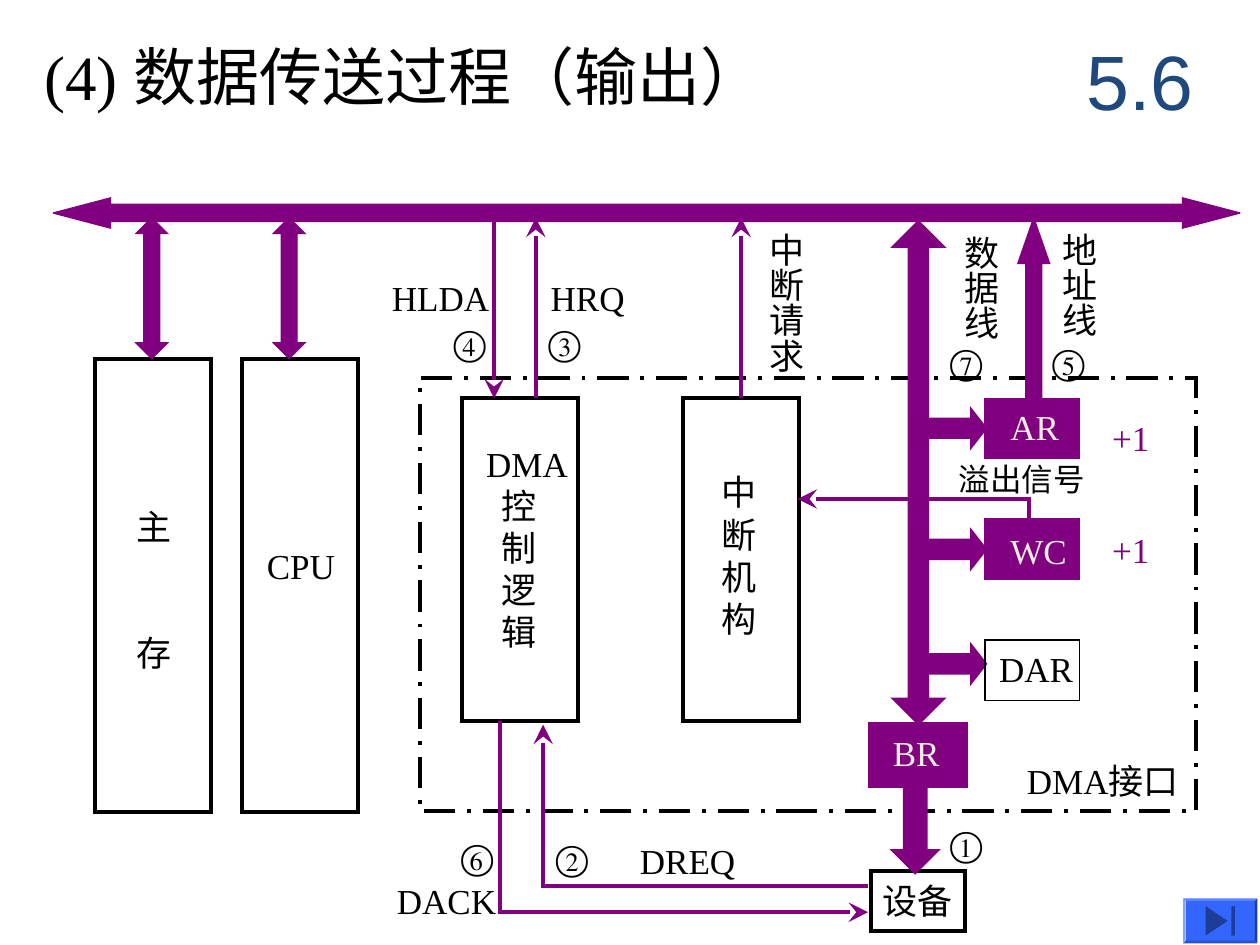
from lxml import etree
from pptx import Presentation
from pptx.dml.color import RGBColor
from pptx.enum.dml import MSO_LINE
from pptx.enum.shapes import MSO_CONNECTOR, MSO_SHAPE
from pptx.enum.text import MSO_ANCHOR, MSO_AUTO_SIZE, PP_ALIGN
from pptx.oxml.ns import qn
from pptx.util import Cm, Pt

BLACK = RGBColor(0x00, 0x00, 0x00)
PURPLE = RGBColor(0x80, 0x00, 0x80)
CREAM = RGBColor(0xEE, 0xEC, 0xE1)
NAVY = RGBColor(0x1F, 0x49, 0x7D)
BLUE = RGBColor(0x33, 0x66, 0xFF)
SERIF, SANS = "Times New Roman", "Arial"

RECTANGLE = MSO_SHAPE.RECTANGLE
RIGHT_ARROW = MSO_SHAPE.RIGHT_ARROW
UP_ARROW = MSO_SHAPE.UP_ARROW
DOWN_ARROW = MSO_SHAPE.DOWN_ARROW
UP_DOWN_ARROW = MSO_SHAPE.UP_DOWN_ARROW
LEFT_RIGHT_ARROW = MSO_SHAPE.LEFT_RIGHT_ARROW
BEVEL = MSO_SHAPE.BEVEL
END_BUTTON = MSO_SHAPE.ACTION_BUTTON_END
STRAIGHT = MSO_CONNECTOR.STRAIGHT
LONG_DASH_DOT = MSO_LINE.LONG_DASH_DOT
NO_FIT = MSO_AUTO_SIZE.NONE
MIDDLE, CENTER = MSO_ANCHOR.MIDDLE, PP_ALIGN.CENTER

LINE_HEIGHT = 1.12
GLYPH_WIDTH = 1.22
REGISTER_LEFT, REGISTER_SIZE = 19.86, (1.91, 1.22)
BUS_EDGE, UNIT_TOP = 4.39, 8.03


def add_label(slide, text, left, top, width, height=LINE_HEIGHT,
              size=20, color=BLACK, font=SERIF):
    box = slide.shapes.add_textbox(Cm(left), Cm(top), Cm(width), Cm(height))
    frame = box.text_frame
    frame.word_wrap = True
    frame.auto_size = NO_FIT
    frame.margin_right = 0
    frame.text = text
    for para in frame.paragraphs:
        for span in para.runs:
            span.font.name = font
            span.font.size = Pt(size)
            span.font.color.rgb = color
    return box


def add_vertical_label(slide, text, left, top, height):
    frame = add_label(slide, text, left, top, 1.35, height).text_frame
    frame.margin_left = frame.margin_right = Cm(0.13)
    frame.margin_top, frame.margin_bottom = Cm(0.1), 0
    frame._txBody.bodyPr.set("vert", "eaVert")


def add_solid(slide, kind, left, top, width, height,
              adjustments=(), color=PURPLE, line_width=0.75):
    """Add a filled shape with a sharp-cornered outline in its own colour."""
    shape = slide.shapes.add_shape(kind, Cm(left), Cm(top), Cm(width), Cm(height))
    shape.shadow.inherit = False
    for index, value in enumerate(adjustments):
        shape.adjustments[index] = value
    shape.fill.solid()
    shape.fill.fore_color.rgb = color
    shape.line.color.rgb = color
    shape.line.width = Pt(line_width)
    stroke = shape.line._get_or_add_ln()
    etree.SubElement(stroke, qn("a:miter"), lim="800000")
    return shape


def add_outline(slide, left, top, width, height, line_width=2.25):
    frame = add_solid(slide, RECTANGLE, left, top, width, height,
                      color=BLACK, line_width=line_width)
    frame.fill.background()
    return frame


def style_signal(signal):
    """Give a line the purple stroke and the arrowhead of a signal."""
    signal.line.color.rgb = PURPLE
    signal.line.width = Pt(2.25)
    stroke = signal.line._get_or_add_ln()
    etree.SubElement(stroke, qn("a:miter"), lim="800000")
    etree.SubElement(stroke, qn("a:tailEnd"), type="stealth", w="lg", len="lg")


def add_signal(slide, x, start, end):
    """Add a vertical signal arrow."""
    signal = slide.shapes.add_connector(STRAIGHT, Cm(x), Cm(start), Cm(x), Cm(end))
    style_signal(signal)
    etree.SubElement(signal._element.spPr, qn("a:effectLst"))
    return signal


def add_bent_signal(slide, *points):
    corners = [(Cm(x), Cm(y)) for x, y in points]
    builder = slide.shapes.build_freeform(*corners[0], scale=1.0)
    builder.add_line_segments(corners[1:], close=False)
    signal = builder.convert_to_shape()
    signal.shadow.inherit = False
    signal.fill.background()
    style_signal(signal)


def add_heading(slide):
    add_label(slide, "(4) 数据传送过程（输出）", 0.64, 0.64, 15.88, 1.78, size=36)
    section = add_label(slide, "5.6", 21.39, 0.43, 3.18, 2.34, 44, NAVY, SANS)
    frame = section.text_frame
    frame.margin_right = frame.margin_left
    frame.vertical_anchor = MIDDLE
    frame.paragraphs[0].alignment = CENTER


def add_units(slide):
    """Add the memory, the processor, the device and the interface parts."""
    for left in (1.91, 4.88):
        add_outline(slide, left, 7.24, 2.34, 9.14)
    memory = add_label(slide, "主\n存", 2.51, 10.06, GLYPH_WIDTH, 3.66)
    memory.text_frame.paragraphs[1].space_before = Pt(48)
    add_label(slide, "CPU", 5.13, 10.85, 1.88)

    interface = add_outline(slide, 8.46, 7.62, 15.65, 8.74)
    interface.line.dash_style = LONG_DASH_DOT
    add_label(slide, "DMA接口", 20.45, 15.19, 3.73)

    add_outline(slide, 9.32, UNIT_TOP, 2.34, 6.5)
    logic = add_label(slide, "DMA\n控\n制\n逻\n辑", 9.55, 8.79, 2.16, 4.5)
    for para in logic.text_frame.paragraphs[1:]:
        para._p.get_or_add_pPr().set("marL", str(Cm(0.32)))

    interrupt_unit = add_outline(slide, 13.77, UNIT_TOP, 2.34, 6.5)
    add_label(slide, "中\n断\n机\n构", 14.3, 9.37, GLYPH_WIDTH, 3.66)
    request = add_signal(slide, 14.94, UNIT_TOP, BUS_EDGE)
    request.begin_connect(interrupt_unit, 0)

    add_outline(slide, 17.55, 17.55, *REGISTER_SIZE)
    add_label(slide, "设备", 17.55, 17.6, 1.91)


def add_block_arrows(slide):
    add_solid(slide, LEFT_RIGHT_ARROW, 1.07, 3.99, 23.93, 0.61, (0.568, 1.9))
    for left in (2.74, 5.51):
        add_solid(slide, UP_DOWN_ARROW, left, BUS_EDGE, 0.64, 2.84, (0.892, 0.5))
    add_solid(slide, UP_DOWN_ARROW, 17.98, 4.45, 1.07, 10.16, (0.696, 0.383))
    for top in (8.23, 10.67, 12.98):
        add_solid(slide, RIGHT_ARROW, 18.62, top, 1.27, 0.81, (0.5, 0.391))
    add_solid(slide, UP_ARROW, 20.52, BUS_EDGE, 0.64, 3.66, (0.5, 1.439))
    add_solid(slide, DOWN_ARROW, 18.03, 15.88, 0.84, 1.7, (0.5, 0.5), line_width=2.25)


def add_signals(slide):
    add_signal(slide, 9.96, BUS_EDGE, UNIT_TOP)
    add_signal(slide, 10.8, UNIT_TOP, BUS_EDGE)
    add_bent_signal(slide, (17.5, 17.86), (10.95, 17.86), (10.95, 14.61))
    add_bent_signal(slide, (10.08, 14.53), (10.08, 18.39), (17.5, 18.39))
    add_bent_signal(slide, (20.75, 10.46), (20.75, 10.06), (16.08, 10.06))
    for name, left, top, width in (
        ("HLDA", 7.65, 5.44, 2.46),
        ("HRQ", 10.85, 5.44, 2.01),
        ("DREQ", 12.65, 16.79, 2.44),
        ("DACK", 7.75, 17.6, 2.51),
    ):
        add_label(slide, name, left, top, width)
    add_label(slide, "溢出信号", 19.08, 9.14, 3.05, 1.02, size=18)
    add_vertical_label(slide, "中断请求", 15.04, 4.6, 3.1)
    add_vertical_label(slide, "数据线", 18.97, 4.65, 2.39)
    add_vertical_label(slide, "地址线", 20.96, 4.6, 2.39)


def add_step_numbers(slide):
    for number, left, top in (
        ("①", 18.9, 16.46),
        ("②", 10.95, 16.74),
        ("③", 10.8, 6.35),
        ("④", 8.89, 6.35),
        ("⑤", 20.96, 6.73),
        ("⑥", 9.04, 16.71),
        ("⑦", 18.9, 6.73),
    ):
        add_label(slide, number, left, top, GLYPH_WIDTH)


def add_registers(slide):
    for name, left, top, text_left, text_top, text_width, line_width in (
        ("AR", REGISTER_LEFT, UNIT_TOP, 20.12, 8.05, 1.47, 0.75),
        ("WC", REGISTER_LEFT, 10.46, 20.12, 10.54, 1.65, 0.75),
        ("BR", 17.55, 14.61, 17.75, 14.63, 1.45, 3),
    ):
        add_solid(slide, RECTANGLE, left, top, *REGISTER_SIZE, line_width=line_width)
        add_label(slide, name, text_left, text_top, text_width, color=CREAM)
    add_outline(slide, REGISTER_LEFT, 12.9, *REGISTER_SIZE, line_width=0.75)
    add_label(slide, "DAR", 19.89, 12.93, 2.01)
    for top in (8.28, 10.52):
        add_label(slide, "+1", 22.17, top, 1.24, color=PURPLE)


def add_end_button(slide):
    rim = add_solid(slide, BEVEL, 23.85, 18.11, 1.5, 0.91, (0.06,), BLUE)
    face = add_solid(slide, END_BUTTON, 23.91, 18.17, 1.38, 0.79, color=BLUE)
    for part in (rim, face):
        part.line.fill.background()


def main():
    deck = Presentation()
    deck.slide_width, deck.slide_height = Cm(25.4), Cm(19.05)
    page = deck.slides.add_slide(deck.slide_layouts[6])
    add_units(page)
    add_block_arrows(page)
    add_signals(page)
    add_step_numbers(page)
    add_registers(page)
    add_heading(page)
    add_end_button(page)
    deck.save("out.pptx")


if __name__ == "__main__":
    main()
